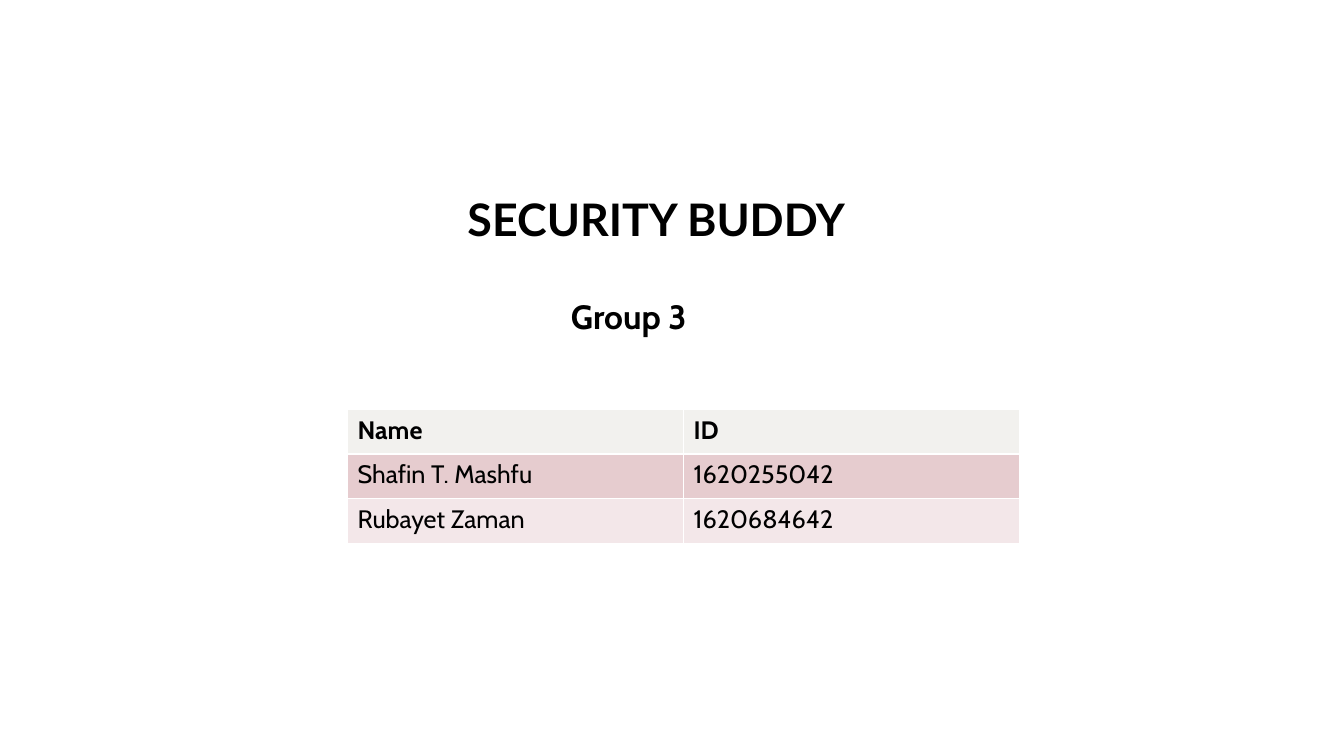
import pptx
import pptx.dml.color
import pptx.enum.text
import pptx.oxml
import pptx.oxml.ns
import pptx.util

Pt = pptx.util.Pt
BLACK, WHITE = "000000", "FFFFFF"
ROW_FILLS = ["F2F1EE", "E6CCCF", "F3E7E9"]
MEMBERS = [
    ("Name", "ID"),
    ("Shafin T. Mashfu", "1620255042"),
    ("Rubayet Zaman", "1620684642"),
]


def color(value):
    return pptx.dml.color.RGBColor.from_string(value)


def apply_format(target, values):
    for name, value in values.items():
        setattr(target, name, value)


def write_text(frame, text, font, size, bold):
    para = frame.paragraphs[0]
    para.alignment = pptx.enum.text.PP_ALIGN.LEFT
    span = para.add_run()
    span.text = text
    apply_format(span.font, {"name": font, "size": Pt(size), "bold": bold})
    span.font.color.rgb = color(BLACK)
    return para


def place_title(page, box):
    title = page.shapes.title
    apply_format(title, dict(zip(("left", "top", "width", "height"), map(Pt, box))))
    apply_format(title.text_frame, {
        "word_wrap": True,
        "auto_size": pptx.enum.text.MSO_AUTO_SIZE.NONE,
        "vertical_anchor": pptx.enum.text.MSO_ANCHOR.MIDDLE,
        "margin_left": Pt(7.2),
        "margin_top": Pt(3.6),
        "margin_right": Pt(7.2),
        "margin_bottom": Pt(0),
    })
    para = write_text(title.text_frame, "SECURITY BUDDY", "Lato", 32, True)
    para.line_spacing = 0.9


def place_group_label(page, box):
    label = page.shapes.add_textbox(*map(Pt, box))
    apply_format(label.text_frame, {
        "word_wrap": False,
        "auto_size": pptx.enum.text.MSO_AUTO_SIZE.SHAPE_TO_FIT_TEXT,
    })
    write_text(label.text_frame, "Group 3", "Cabin", 24, True)


def set_borders(cell, widths):
    properties = cell._tc.get_or_add_tcPr()
    for side, width in widths.items():
        properties.append(pptx.oxml.parse_xml(
            f'<a:ln{side} {pptx.oxml.ns.nsdecls("a")} w="{Pt(width)}">'
            f'<a:solidFill><a:srgbClr val="{WHITE}"/></a:solidFill></a:ln{side}>'
        ))


def place_member_table(page, box):
    left, top, width, height = box
    rows, columns = len(MEMBERS), len(MEMBERS[0])
    table = page.shapes.add_table(rows, columns, *map(Pt, box)).table
    for column in table.columns:
        column.width = Pt(width / columns)
    for row_index, (row, member, fill) in enumerate(zip(table.rows, MEMBERS, ROW_FILLS)):
        row.height = Pt(height / rows)
        header = row_index == 0
        widths = {
            "L": 0.45,
            "R": 0.45,
            "T": 1.47 if row_index == 1 else 0.45,
            "B": 1.47 if header else 0.45,
        }
        for cell, text in zip(row.cells, member):
            set_borders(cell, widths)
            cell.fill.solid()
            cell.fill.fore_color.rgb = color(fill)
            write_text(cell.text_frame, text, "Cabin", 18, header)


def main():
    deck = pptx.Presentation()
    apply_format(deck, {"slide_width": Pt(960.48), "slide_height": Pt(540)})
    page = deck.slides.add_slide(deck.slide_layouts.get_by_name("Title Only"))
    page.background.fill.solid()
    page.background.fill.fore_color.rgb = color(WHITE)
    place_title(page, (326.9, 131, 323.3, 51.1))
    place_member_table(page, (248.4, 292.6, 480.2, 95.4))
    place_group_label(page, (401, 208.1, 108, 36))
    deck.save("out.pptx")


if __name__ == "__main__":
    main()
